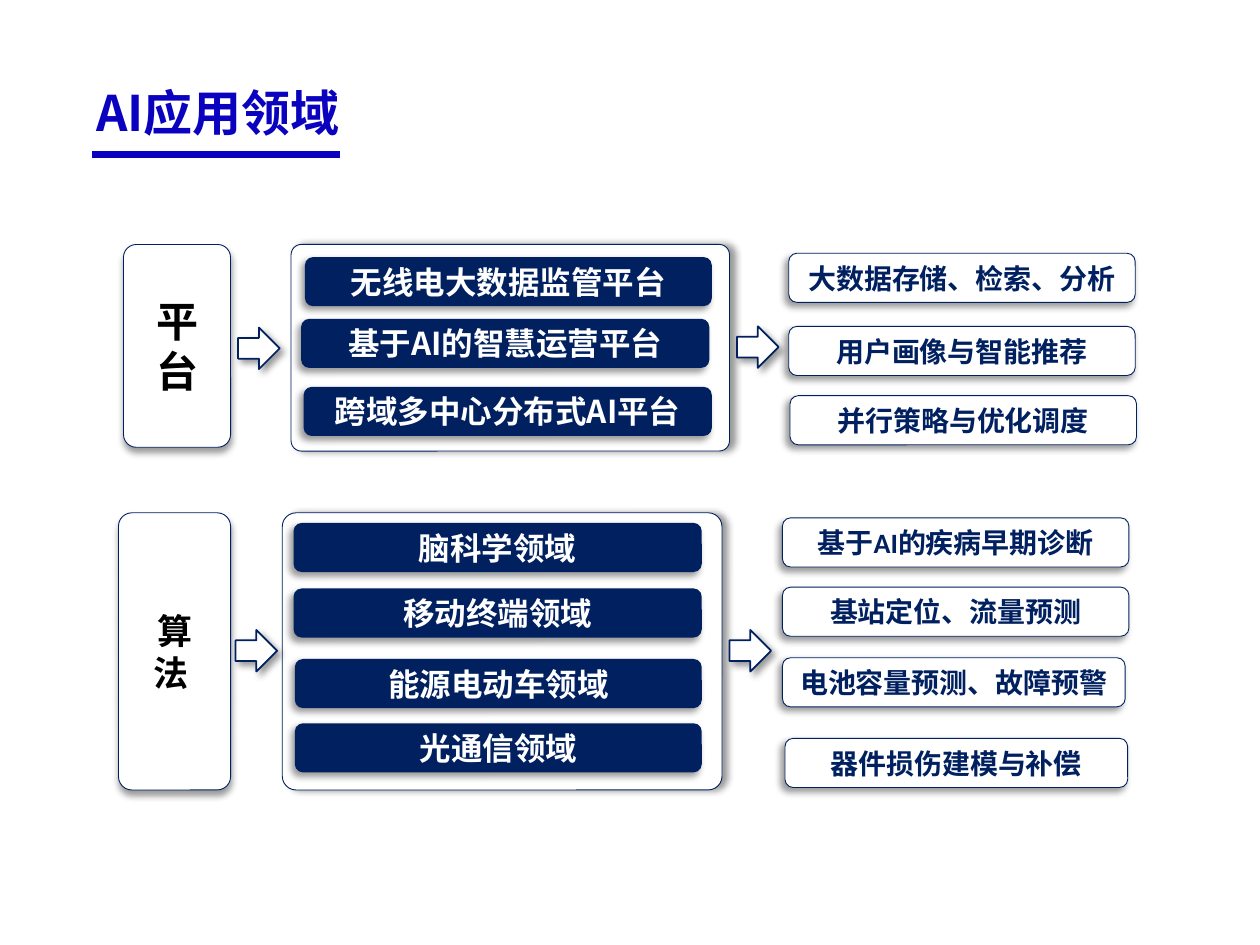
from dataclasses import dataclass
from typing import Any

from lxml.etree import SubElement
from pptx import Presentation
from pptx.dml.color import RGBColor
from pptx.enum.shapes import MSO_CONNECTOR as Connector, MSO_SHAPE as Shape
from pptx.enum.text import MSO_ANCHOR as Anchor, PP_ALIGN as Align
from pptx.oxml.ns import qn
from pptx.util import Inches, Pt

COLORS = {"navy": "002060", "blue": "0B02BF", "white": "FFFFFF", "black": "000000"}
FONT = "Noto Sans CJK SC"
LATIN_FONT = "Calibri"

SECTIONS = [
    {
        "label": ("平\n台", 24, (0.98, 1.94, 0.85, 1.61)),
        "frame": (2.31, 1.94, 3.48, 1.64),
        "arrows": [(1.89, 2.6), (5.85, 2.59)],
        "topics": [
            (["无线电大数据监管平台"], 2.42, 2.04, 3.23),
            (["基于AI的智慧运营平台"], 2.39, 2.53, 3.24),
            (["跨域多中心分布式AI平台"], 2.41, 3.07, 3.24),
        ],
        "results": [
            (["大数据存储、检索、分析"], 6.26, 2.01, 2.75),
            (["用户画像与智能推荐"], 6.26, 2.59, 2.75),
            (["并行策略与优化调度"], 6.27, 3.14, 2.75),
        ],
    },
    {
        "label": ("算\n法 ", 20, (0.94, 4.07, 0.89, 2.2)),
        "frame": (2.24, 4.07, 3.49, 2.2),
        "arrows": [(1.87, 5), (5.79, 5)],
        "topics": [
            (["脑科学领域"], 2.33, 4.15, 3.24),
            (["移动终端领域"], 2.33, 4.67, 3.24),
            (["能源电动车领域"], 2.34, 5.23, 3.23),
            (["光通信领域"], 2.34, 5.74, 3.23),
        ],
        "results": [
            (["基于", "AI", "的疾病早期诊断"], 6.21, 4.11, 2.75),
            (["基站定位、流量预测"], 6.21, 4.66, 2.75),
            (["电池容量预测、故障预警"], 6.21, 5.22, 2.72),
            (["器件损伤建模与补偿"], 6.23, 5.86, 2.72),
        ],
    },
]


@dataclass
class DiagramSlide:
    """Draws the styled elements of the diagram on one slide."""

    slide: Any
    bar_height: float = 0.39
    arrow_size: float = 0.33

    def color(self, name):
        return RGBColor.from_string(COLORS[name])

    def format_text(self, text_frame, size, color):
        text_frame.vertical_anchor = Anchor.MIDDLE
        for paragraph in text_frame.paragraphs:
            paragraph.alignment = Align.CENTER
            for run in paragraph.runs:
                font = run.font
                font.size, font.bold = Pt(size), True
                font.color.rgb = self.color(color)
                font.name = LATIN_FONT if run.text == "AI" else FONT
                SubElement(font._element, qn("a:ea"), typeface=FONT)

    def title(self, text, box):
        title = self.slide.shapes.title
        title.left, title.top, title.width, title.height = map(Inches, box)
        title.text_frame.text = text
        title.text_frame.word_wrap = False
        self.format_text(title.text_frame, 28, "blue")

    def rule(self, left, right, top):
        line = self.slide.shapes.add_connector(
            Connector.STRAIGHT, Inches(left), Inches(top), Inches(right), Inches(top)
        )
        line.line.color.rgb = self.color("blue")
        line.line.width = Pt(4)
        SubElement(line._element.spPr, qn("a:effectLst"))

    def shadow(self, shape, angle):
        shape.shadow.inherit = False
        effects = shape._element.spPr.find(qn("a:effectLst"))
        outer = SubElement(
            effects, qn("a:outerShdw"), blurRad=str(Pt(4)), dist=str(Pt(3)),
            dir=str(angle * 60000), algn="ctr", rotWithShape="0",
        )
        shade = SubElement(outer, qn("a:srgbClr"), val=COLORS["black"])
        SubElement(shade, qn("a:alpha"), val="40000")

    def shape(self, kind, box, angle, fill="white", line_width=0.5):
        shape = self.slide.shapes.add_shape(kind, *map(Inches, box))
        shape.fill.solid()
        shape.fill.fore_color.rgb = self.color(fill)
        if line_width:
            shape.line.color.rgb = self.color("navy")
            shape.line.width = Pt(line_width)
        else:
            shape.line.fill.background()
        self.shadow(shape, angle)
        return shape

    def frame(self, box):
        frame = self.shape(Shape.ROUNDED_RECTANGLE, box, 0)
        frame.adjustments[0] = 0.05

    def label(self, text, size, box):
        label = self.shape(Shape.ROUNDED_RECTANGLE, box, 90)
        label.adjustments[0] = 0.12
        label.text_frame.text = text
        self.format_text(label.text_frame, size, "black")

    def arrow(self, left, top):
        box = (left, top, self.arrow_size, self.arrow_size)
        self.shape(Shape.RIGHT_ARROW, box, 45, line_width=1)

    def bar(self, parts, left, top, width, filled):
        fill, line_width, size, color = (
            ("navy", 0, 18, "white") if filled else ("white", 0.5, 16, "navy")
        )
        box = (left, top, width, self.bar_height)
        bar = self.shape(Shape.ROUNDED_RECTANGLE, box, 135, fill, line_width)
        paragraph = bar.text_frame.paragraphs[0]
        for part in parts:
            paragraph.add_run().text = part
        self.format_text(bar.text_frame, size, color)

    def section(self, section):
        self.frame(section["frame"])
        self.label(*section["label"])
        for topic in section["topics"]:
            self.bar(*topic, filled=True)
        for result in section["results"]:
            self.bar(*result, filled=False)
        for arrow in section["arrows"]:
            self.arrow(*arrow)


def main():
    presentation = Presentation()
    presentation.slide_width, presentation.slide_height = Inches(10), Inches(7.5)
    diagram = DiagramSlide(presentation.slides.add_slide(presentation.slide_layouts[5]))
    diagram.title("AI应用领域", (0.59, 0.6, 2.28, 0.57))
    diagram.rule(0.73, 2.7, 1.23)
    for section in SECTIONS:
        diagram.section(section)
    presentation.save("out.pptx")


if __name__ == "__main__":
    main()
